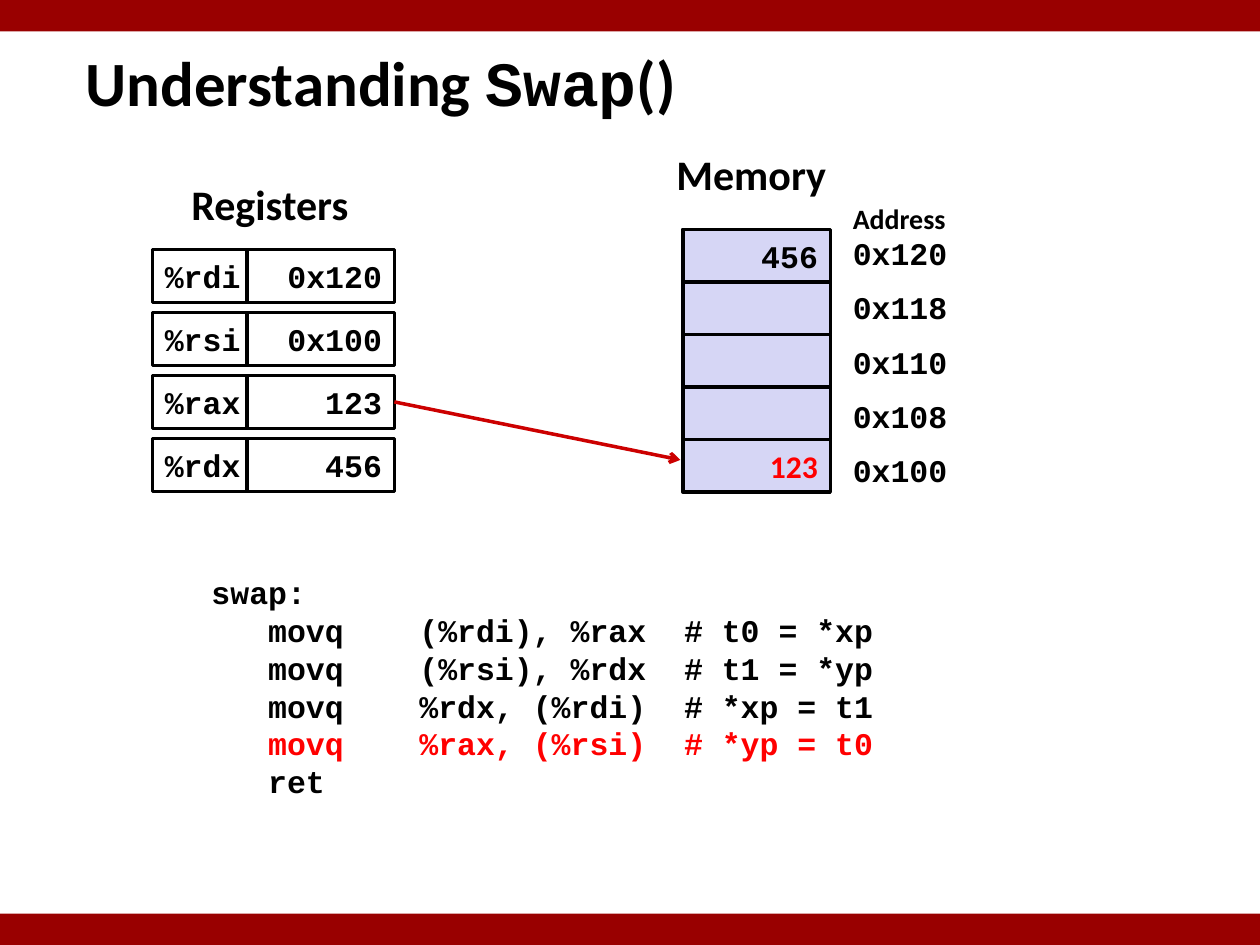
from dataclasses import dataclass

from lxml.etree import SubElement
from pptx import Presentation
from pptx.dml.color import RGBColor
from pptx.enum.shapes import MSO_CONNECTOR, MSO_SHAPE
from pptx.enum.text import MSO_ANCHOR, MSO_AUTO_SIZE, PP_ALIGN
from pptx.oxml.ns import qn
from pptx.util import Inches, Pt

SANS, MONO = "Calibri", "Courier New"
BLACK, WHITE, RED = "000000", "FFFFFF", "FF0000"
BAR, CELL, ARROW = "990000", "D6D6F5", "CC0000"
HIGH = 0.42  # height of a register or memory cell

REGS = [("%rdi", "0x120"), ("%rsi", "0x100"), ("%rax", "123"), ("%rdx", "456")]
ADDRS = ["0x120", "0x118", "0x110", "0x108", "0x100"]
CODE = [
    "swap:",
    "   movq    (%rdi), %rax  # t0 = *xp",
    "   movq    (%rsi), %rdx  # t1 = *yp",
    "   movq    %rdx, (%rdi)  # *xp = t1",
    "   movq    %rax, (%rsi)  # *yp = t0",
    "   ret",
]
ACTIVE = 4  # the code line now running


@dataclass
class Box:
    left: float
    top: float
    width: float
    height: float

    def lengths(self) -> list:
        return [Inches(n) for n in (self.left, self.top, self.width, self.height)]


@dataclass
class Style:
    font: str = MONO
    size: float = 18
    color: str = BLACK


def paint(target, color: str) -> None:
    """Give a fill a solid colour."""
    target.solid()
    target.fore_color.rgb = RGBColor.from_string(color)


def write(para, text: str, style: Style) -> None:
    """Add one bold run to a paragraph."""
    run = para.add_run()
    run.text = text
    look = {"name": style.font, "size": Pt(style.size), "bold": True}
    for key, value in look.items():
        setattr(run.font, key, value)
    run.font.color.rgb = RGBColor.from_string(style.color)


def add_rect(shapes, box: Box, fill: str):
    rect = shapes.add_shape(MSO_SHAPE.RECTANGLE, *box.lengths())
    rect.shadow.inherit = False
    paint(rect.fill, fill)
    rect.line.fill.background()
    return rect


def add_cell(shapes, box: Box, fill: str, text: str = "",
             style: Style = Style(), align=PP_ALIGN.RIGHT) -> None:
    cell = add_rect(shapes, box, fill)
    paint(cell.line.fill, BLACK)
    cell.line.width = Pt(2)
    frame = cell.text_frame
    frame.word_wrap = False
    frame.vertical_anchor = MSO_ANCHOR.MIDDLE
    if text:
        frame.paragraphs[0].alignment = align
        write(frame.paragraphs[0], text, style)


def add_text(shapes, box: Box, lines: list[tuple[str, Style]], wrap: bool = True) -> None:
    frame = shapes.add_textbox(*box.lengths()).text_frame
    frame.word_wrap = wrap
    frame.auto_size = MSO_AUTO_SIZE.SHAPE_TO_FIT_TEXT
    for i, (text, style) in enumerate(lines):
        para = frame.add_paragraph() if i else frame.paragraphs[0]
        write(para, text, style)


def add_arrow(shapes, start: tuple[float, float], end: tuple[float, float]) -> None:
    ends = [Inches(n) for n in start + end]
    arrow = shapes.add_connector(MSO_CONNECTOR.STRAIGHT, *ends)
    paint(arrow.line.fill, ARROW)
    arrow.line.width = Pt(2)
    SubElement(arrow.line._get_or_add_ln(), qn("a:tailEnd"), type="arrow")
    SubElement(arrow._element.spPr, qn("a:effectLst"))


def set_title(title) -> None:
    names = ("left", "top", "width", "height")
    for name, value in zip(names, Box(0.58, 0.33, 6.97, 0.63).lengths()):
        setattr(title, name, value)
    frame = title.text_frame
    frame.vertical_anchor = MSO_ANCHOR.MIDDLE
    frame.auto_size = MSO_AUTO_SIZE.NONE
    para = frame.paragraphs[0]
    para.alignment = PP_ALIGN.LEFT
    for text, font in [("Understanding ", SANS), ("Swap", MONO), ("()", SANS)]:
        write(para, text, Style(font, 36))


def main() -> None:
    deck = Presentation()
    deck.slide_width, deck.slide_height = Inches(10), Inches(7.5)
    slide = deck.slides.add_slide(deck.slide_layouts[5])
    shapes = slide.shapes
    paint(slide.background.fill, WHITE)
    set_title(shapes.title)
    for top in (0, 7.25):
        add_rect(shapes, Box(0, top, 10, 0.25), BAR)

    head = Style(SANS, 24)
    add_text(shapes, Box(1.42, 1.37, 1.48, 0.5), [("Registers", head)], wrap=False)
    add_text(shapes, Box(5.27, 1.13, 1.4, 0.5), [("Memory", head)], wrap=False)

    values = {0: ("456", Style()), 4: ("123", Style(SANS, color=RED))}
    for i in range(len(ADDRS)):
        box = Box(5.42, 1.82 + i * 5 / 12, 1.17, HIGH)
        add_cell(shapes, box, CELL, *values.get(i, ()))

    regs = shapes.add_group_shape().shapes
    for i, (name, value) in enumerate(REGS):
        top = 1.98 + i * 0.5
        add_cell(regs, Box(1.21, top, 0.75, HIGH), WHITE, name, align=PP_ALIGN.LEFT)
        add_cell(regs, Box(1.96, top, 1.17, HIGH), WHITE, value)

    addrs = shapes.add_group_shape().shapes
    for i, addr in enumerate(ADDRS):
        add_text(addrs, Box(6.67, 1.81 + i * 0.43, 1.33, 0.4), [(addr, Style())])
    add_text(addrs, Box(6.67, 1.55, 1.33, 0.37), [("Address", Style(SANS, 16))])

    add_arrow(shapes, (3.13, 3.19), (5.4, 3.65))
    lines = [(line, Style(color=RED if i == ACTIVE else BLACK))
             for i, line in enumerate(CODE)]
    add_text(shapes, Box(1.58, 4.5, 6.42, 1.92), lines)

    deck.save("out.pptx")


if __name__ == "__main__":
    main()
